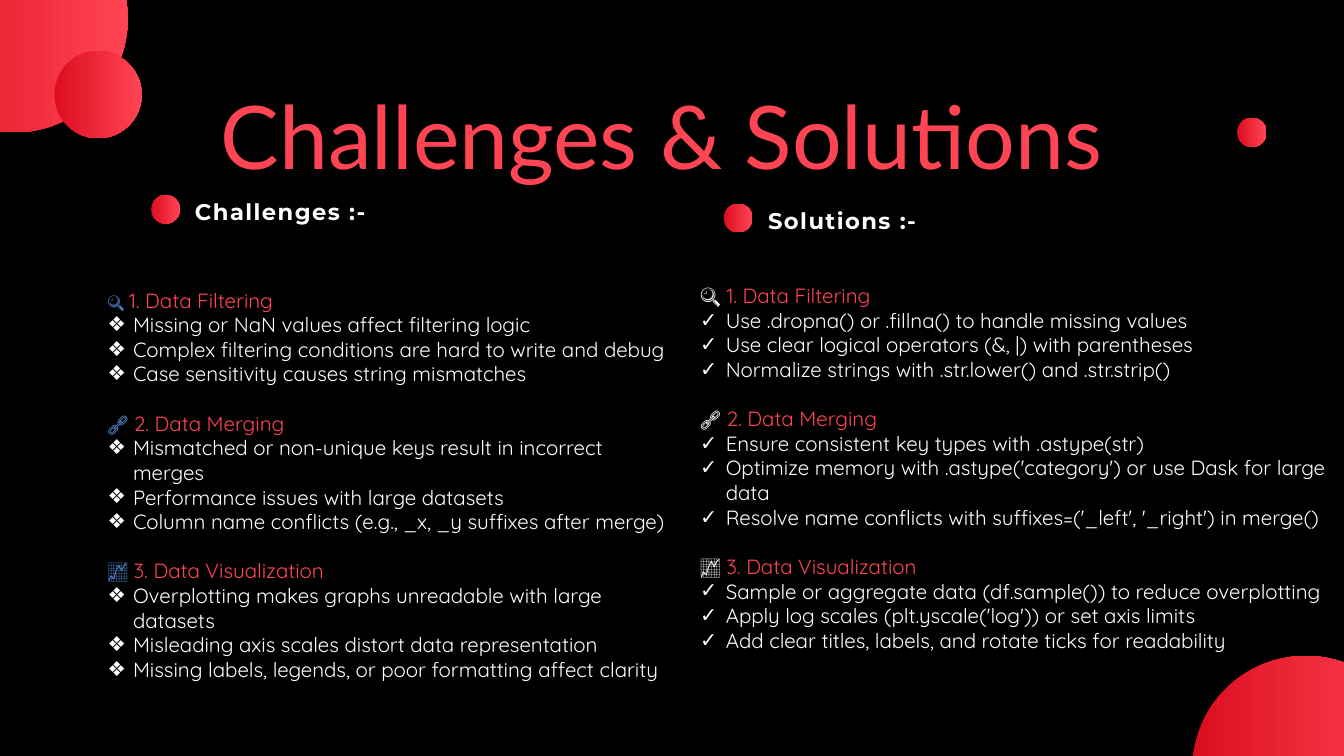
"""Build the Challenges & Solutions slide."""
from dataclasses import dataclass

from lxml import etree
from pptx import Presentation, util as u
from pptx.dml.color import RGBColor
from pptx.enum import shapes, text
from pptx.oxml import ns

RED, WHITE, BLUE, BLACK = "FF4454", "FFFFFF", "558ED5", "000000"
DARK = "DC0E20"
SIZE = 22
HANG = u.Inches(0.38)


@dataclass
class Disc:
    left: float
    top: float
    size: float


@dataclass
class Topic:
    icon: str
    name: str
    points: list[str]


@dataclass
class Side:
    head: str
    spot: tuple
    box: tuple
    mark: str
    tint: str
    first: int
    topics: list[Topic]


DISCS = [
    Disc(17.74, 9.76, 3.38), Disc(18.41, 1.75, 0.44), Disc(2.25, 2.9, 0.43),
    Disc(10.77, 3.03, 0.43), Disc(-1.48, -1.41, 3.38), Disc(0.81, 0.76, 1.3),
]

SIDES = [
    Side("Challenges :-", (2.9, 2.88, 3.6, 0.45), (1.5, 3.64, 8.5, 7.14), "❖", BLUE, 18, [
        Topic("🔍", "1. Data Filtering", [
            "Missing or NaN values affect filtering logic",
            "Complex filtering conditions are hard to write and debug",
            "Case sensitivity causes string mismatches"]),
        Topic("🔗", "2. Data Merging", [
            "Mismatched or non-unique keys result in incorrect merges",
            "Performance issues with large datasets",
            "Column name conflicts (e.g., _x, _y suffixes after merge)"]),
        Topic("📈", "3. Data Visualization", [
            "Overplotting makes graphs unreadable with large datasets",
            "Misleading axis scales distort data representation",
            "Missing labels, legends, or poor formatting affect clarity"]),
    ]),
    Side("Solutions :-", (11.43, 3.01, 3.6, 0.44), (10.32, 3.76, 9.68, 6.4), "✓", WHITE, SIZE, [
        Topic("🔍", "1. Data Filtering", [
            "Use .dropna() or .fillna() to handle missing values",
            "Use clear logical operators (&, |) with parentheses",
            "Normalize strings with .str.lower() and .str.strip()"]),
        Topic("🔗", "2. Data Merging", [
            "Ensure consistent key types with .astype(str)",
            "Optimize memory with .astype('category') or use Dask for large data",
            "Resolve name conflicts with suffixes=('_left', '_right') in merge()"]),
        Topic("📈", "3. Data Visualization", [
            "Sample or aggregate data (df.sample()) to reduce overplotting",
            "Apply log scales (plt.yscale('log')) or set axis limits",
            "Add clear titles, labels, and rotate ticks for readability"]),
    ]),
]


def hue(code: str) -> RGBColor:
    return RGBColor.from_string(code)


def style(run, size: float, face: str, tint: str, bold: bool = False) -> None:
    font = run.font
    font.size, font.name, font.bold = u.Pt(size), face, bold
    font.color.rgb = hue(tint)


def place(shape, box: tuple) -> None:
    shape.left, shape.top, shape.width, shape.height = map(u.Inches, box)
    shape.text_frame.word_wrap = True
    shape.text_frame.auto_size = text.MSO_AUTO_SIZE.NONE


def draw_disc(slide, disc: Disc) -> None:
    size = u.Inches(disc.size)
    oval = slide.shapes.add_shape(
        shapes.MSO_SHAPE.OVAL, u.Inches(disc.left), u.Inches(disc.top), size, size)
    oval.shadow.inherit = False
    oval.line.fill.background()
    oval.fill.gradient()
    oval.fill.gradient_angle = 0
    for stop, code in zip(oval.fill.gradient_stops, (DARK, RED)):
        stop.color.rgb = hue(code)


def write_head(shape, words: str, box: tuple, pitch: float, align):
    place(shape, box)
    frame = shape.text_frame
    frame.margin_left = frame.margin_top = frame.margin_right = frame.margin_bottom = 0
    frame.vertical_anchor = text.MSO_ANCHOR.TOP
    frame.text = words
    para = frame.paragraphs[0]
    para.alignment = align
    para.line_spacing = u.Pt(pitch)
    para.space_before = u.Pt(0)
    return para.runs[0]


def set_mark(para, mark: str = "") -> None:
    props = para._p.get_or_add_pPr()
    props.set("marL", str(HANG if mark else 0))
    props.set("indent", str(-HANG if mark else 0))
    if mark:
        etree.SubElement(props, ns.qn("a:buFont"), typeface="Arial")
        etree.SubElement(props, ns.qn("a:buChar"), char=mark)
    else:
        etree.SubElement(props, ns.qn("a:buNone"))


def write_list(shape, side: Side) -> None:
    place(shape, side.box)
    frame = shape.text_frame
    frame.vertical_anchor = text.MSO_ANCHOR.MIDDLE
    rows = []
    for topic in side.topics:
        rows.append((topic, ""))
        rows += [(None, point) for point in topic.points]
    for i, (topic, point) in enumerate(rows):
        para = frame.add_paragraph() if i else frame.paragraphs[0]
        para.line_spacing = 1.0
        para.space_before = u.Pt(1.2 * SIZE if topic and i else 0)
        if topic:
            set_mark(para)
            icon, name = para.add_run(), para.add_run()
            icon.text, name.text = topic.icon + " ", topic.name
            style(icon, SIZE if i else side.first, "Quicksand", side.tint)
            style(name, SIZE, "Quicksand", RED)
        else:
            set_mark(para, side.mark)
            para.text = point
            style(para.runs[0], SIZE, "Quicksand", WHITE)


def main() -> None:
    deck = Presentation()
    deck.slide_width, deck.slide_height = u.Inches(20), u.Inches(11.25)
    slide = deck.slides.add_slide(deck.slide_layouts.get_by_name("Comparison"))
    slide.background.fill.solid()
    slide.background.fill.fore_color.rgb = hue(BLACK)
    for disc in DISCS:
        draw_disc(slide, disc)
    title, *slots = slide.placeholders
    run = write_head(title, "Challenges & Solutions", (1.89, 1.21, 15.9, 1.53),
                     112.8, text.PP_ALIGN.CENTER)
    style(run, 94, "Lato", RED)
    for side, head, body in zip(SIDES, slots[::2], slots[1::2]):
        run = write_head(head, side.head, side.spot, 34.1, text.PP_ALIGN.LEFT)
        style(run, 24.3, "Montserrat", WHITE, True)
        run.font._element.set("spc", "160")
        write_list(body, side)
    deck.save("out.pptx")


if __name__ == "__main__":
    main()
